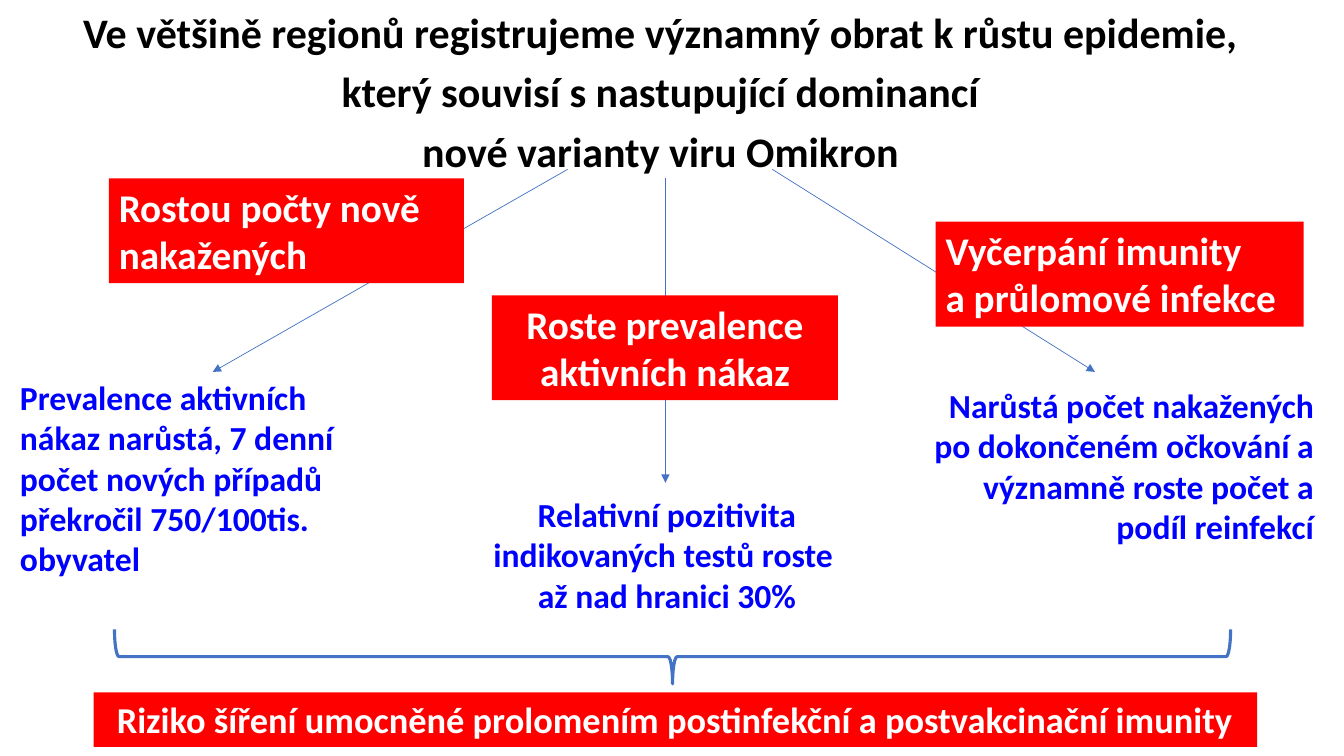
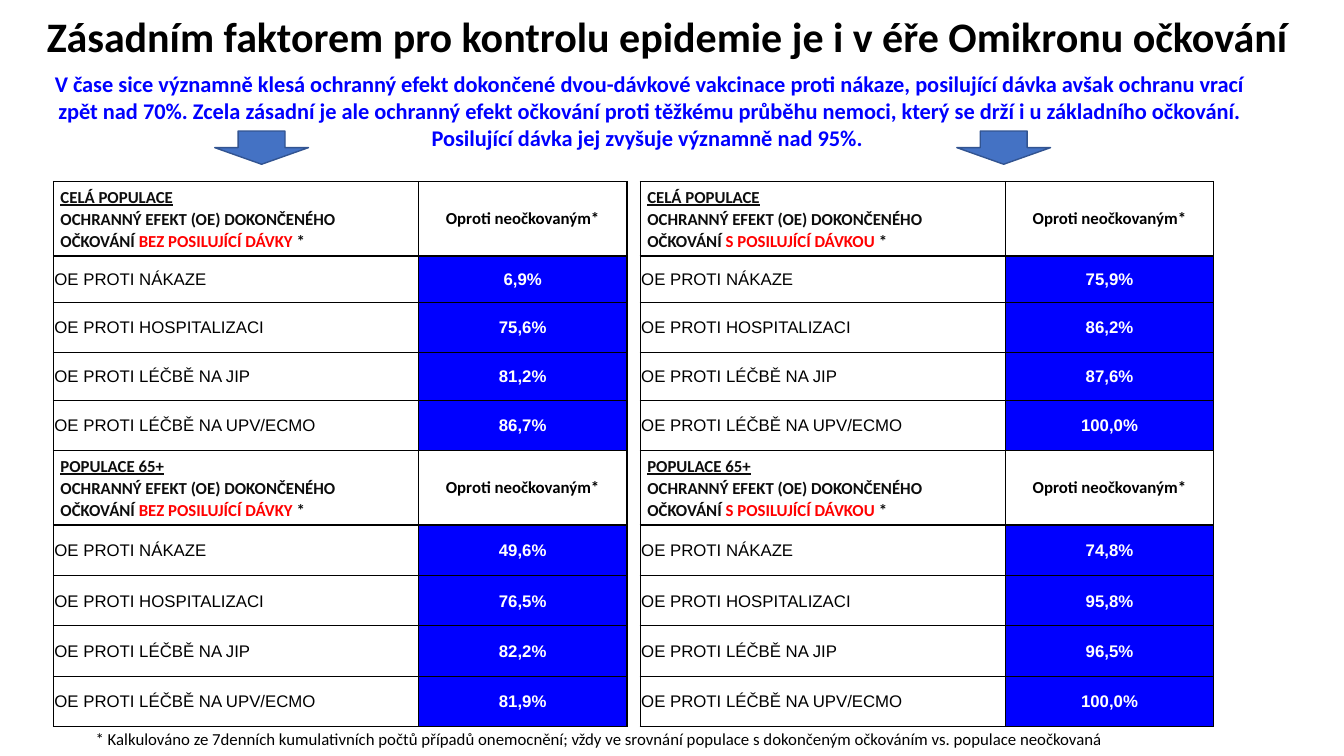
from lxml.etree import SubElement
from pptx import Presentation
from pptx.dml.color import RGBColor
from pptx.enum.shapes import MSO_CONNECTOR, MSO_SHAPE
from pptx.enum.text import MSO_ANCHOR, MSO_AUTO_SIZE, PP_ALIGN
from pptx.oxml.ns import qn
from pptx.util import Inches, Pt

BLACK = "000000"
DARK = "0D0D0D"
WHITE = "FFFFFF"
RED = "FF0000"
BLUE = "0000FF"
ACCENT = "4472C4"
ACCENT_DARK = "325491"
LEFT, CENTER, RIGHT = PP_ALIGN.LEFT, PP_ALIGN.CENTER, PP_ALIGN.RIGHT


def color(value):
    return RGBColor.from_string(value)


def write_text(text_frame, paragraphs, size, text_color, alignment=LEFT, bold=True,
               font="Calibri", line_spacing=None, space_before=0):
    text_frame.word_wrap = True
    for index, runs in enumerate(paragraphs):
        paragraph = text_frame.paragraphs[0] if index == 0 else text_frame.add_paragraph()
        paragraph.alignment = alignment
        if line_spacing:
            paragraph.line_spacing = line_spacing
        paragraph.space_before = Pt(space_before if index else 0)
        for text, run_color, underline in runs:
            run = paragraph.add_run()
            run.text = text
            run.font.name = font
            run.font.size = Pt(size)
            run.font.bold = bold
            run.font.underline = underline
            run.font.color.rgb = color(run_color or text_color)


presentation = Presentation()
presentation.slide_width = Inches(13.33)
presentation.slide_height = Inches(7.5)
title_only = presentation.slide_layouts[5]

titles = [
    (["Ve většině regionů registrujeme významný obrat k růstu epidemie, ",
      "který souvisí s nastupující dominancí ",
      "nové varianty viru Omikron "], (0, 0.07, 13.2, 1.7), 0.9, 10),
    (["Zásadním faktorem pro kontrolu epidemie je i v éře Omikronu očkování "],
     (0.17, 0.05, 13, 0.61), 1, 0),
]
slides = []
for lines, (left, top, width, height), line_spacing, space_before in titles:
    slide = presentation.slides.add_slide(title_only)
    title = slide.shapes.title
    title.left, title.top = Inches(left), Inches(top)
    title.width, title.height = Inches(width), Inches(height)
    title.text_frame.auto_size = MSO_AUTO_SIZE.NONE
    title.text_frame.vertical_anchor = MSO_ANCHOR.TOP
    write_text(title.text_frame, [[(line, None, False)] for line in lines], 30, BLACK, CENTER,
               line_spacing=line_spacing, space_before=space_before)
    slides.append(slide)
growth_slide, vaccination_slide = slides

arrows = [(5.63, 1.68, 2.11, 3.69), (6.6, 1.77, 6.6, 4.79), (7.66, 1.68, 10.86, 3.69)]
for start_x, start_y, end_x, end_y in arrows:
    arrow = growth_slide.shapes.add_connector(
        MSO_CONNECTOR.STRAIGHT, Inches(start_x), Inches(start_y), Inches(end_x), Inches(end_y))
    if start_x == end_x:
        arrow.begin_connect(growth_slide.shapes.title, 2)
    arrow.line.color.rgb = color(ACCENT)
    arrow.line.width = Pt(0.5)
    SubElement(arrow.line._get_or_add_ln(), qn("a:tailEnd"), type="triangle")
    SubElement(arrow._element.spPr, qn("a:effectLst"))

notes = [
    (growth_slide, (0.1, 3.69, 3.4, 2.12), LEFT, 24, BLUE, True,
     ["Prevalence aktivních nákaz narůstá, 7 denní počet nových případů překročil "
      "750/100tis. obyvatel"]),
    (growth_slide, (4.41, 4.85, 4.41, 1.31), CENTER, 24, BLUE, True,
     ["Relativní pozitivita indikovaných testů roste ", "až nad hranici 30%"]),
    (growth_slide, (9.09, 3.77, 4.04, 1.72), RIGHT, 24, BLUE, True,
     ["Narůstá počet nakažených po dokončeném očkování a významně roste počet a "
      "podíl reinfekcí"]),
    (vaccination_slide, (0.85, 7.18, 10.48, 0.3), LEFT, 12, BLACK, False,
     ["* Kalkulováno ze 7denních kumulativních počtů případů onemocnění; vždy ve srovnání "
      "populace s dokončeným očkováním vs. populace neočkovaná"]),
    (vaccination_slide, (0.28, 0.65, 12.33, 0.91), CENTER, 16, BLUE, True,
     ["V čase sice významně klesá ochranný efekt dokončené dvou-dávkové vakcinace proti "
      "nákaze, posilující dávka avšak ochranu vrací zpět nad 70%. Zcela zásadní je ale "
      "ochranný efekt očkování proti těžkému průběhu nemoci, který se drží i u základního "
      "očkování. Posilující dávka jej zvyšuje významně nad 95%. "]),
]
for slide, box, alignment, size, text_color, bold, lines in notes:
    note = slide.shapes.add_textbox(*map(Inches, box))
    write_text(note.text_frame, [[(line, None, False)] for line in lines],
               size, text_color, alignment, bold)

brace = growth_slide.shapes.add_shape(
    MSO_SHAPE.RIGHT_BRACE, Inches(6.4), Inches(0.98), Inches(0.54), Inches(11.07))
brace.rotation = 90
brace.shadow.inherit = False
brace.fill.background()
brace.line.color.rgb = color(ACCENT)
brace.line.width = Pt(2.25)

banners = [
    ((0.93, 6.87, 11.54, 0.54), CENTER, 26,
     ["Riziko šíření umocněné prolomením postinfekční a postvakcinační imunity"]),
    ((1.08, 1.77, 3.52, 1.04), LEFT, 28, ["Rostou počty nově nakažených"]),
    ((4.88, 2.93, 3.43, 1.04), CENTER, 28, ["Roste prevalence aktivních nákaz"]),
    ((9.28, 2.2, 3.65, 1.04), LEFT, 28, ["Vyčerpání imunity", "a průlomové infekce"]),
]
for box, alignment, size, lines in banners:
    banner = growth_slide.shapes.add_shape(MSO_SHAPE.RECTANGLE, *map(Inches, box))
    banner.shadow.inherit = False
    banner.fill.solid()
    banner.fill.fore_color.rgb = color(RED)
    banner.line.fill.background()
    banner.text_frame.vertical_anchor = MSO_ANCHOR.TOP
    write_text(banner.text_frame, [[(line, None, False)] for line in lines],
               size, WHITE, alignment)

for left in (2.13, 9.49):
    down_arrow = vaccination_slide.shapes.add_shape(
        MSO_SHAPE.DOWN_ARROW, Inches(left), Inches(1.3), Inches(0.93), Inches(0.33))
    down_arrow.shadow.inherit = False
    down_arrow.fill.solid()
    down_arrow.fill.fore_color.rgb = color(ACCENT)
    down_arrow.line.color.rgb = color(ACCENT_DARK)
    down_arrow.line.width = Pt(1)

column_widths = [3.62, 2.07]
row_heights = [0.74, 0.46, 0.5, 0.47, 0.5, 0.74, 0.5, 0.5, 0.5, 0.5]
populations = ["CELÁ POPULACE", "POPULACE 65+"]
outcomes = ["NÁKAZE", "HOSPITALIZACI", "LÉČBĚ NA JIP", "LÉČBĚ NA UPV/ECMO"]
effect_tables = [
    (0.53, "BEZ POSILUJÍCÍ DÁVKY ",
     [["6,9%", "75,6%", "81,2%", "86,7%"], ["49,6%", "76,5%", "82,2%", "81,9%"]]),
    (6.35, "S POSILUJÍCÍ DÁVKOU ",
     [["75,9%", "86,2%", "87,6%", "100,0%"], ["74,8%", "95,8%", "96,5%", "100,0%"]]),
]
for left, dose, effects in effect_tables:
    table = vaccination_slide.shapes.add_table(
        len(row_heights), len(column_widths), Inches(left), Inches(1.8),
        Inches(sum(column_widths)), Inches(sum(row_heights))).table
    table.first_row = False
    table.horz_banding = False
    for column, width in zip(table.columns, column_widths):
        column.width = Inches(width)
    for row, height in zip(table.rows, row_heights):
        row.height = Inches(height)

    for cell in table.iter_cells():
        properties = cell._tc.get_or_add_tcPr()
        for side in ("a:lnL", "a:lnR", "a:lnT", "a:lnB"):
            border = SubElement(properties, qn(side), w=str(Pt(1)))
            border_fill = SubElement(border, qn("a:solidFill"))
            SubElement(border_fill, qn("a:srgbClr"), val=BLACK)
        cell.fill.solid()
        cell.fill.fore_color.rgb = color(WHITE)
        cell.vertical_anchor = MSO_ANCHOR.MIDDLE
        cell.margin_left = cell.margin_right = cell.margin_top = Inches(0.01)
        cell.margin_bottom = 0

    for group, (population, values) in enumerate(zip(populations, effects)):
        header_row = group * (len(outcomes) + 1)
        header = table.cell(header_row, 0)
        header.margin_left = header.margin_right = Inches(0.07)
        header.margin_top = 0
        write_text(header.text_frame, [
            [(population, None, True)],
            [("OCHRANNÝ EFEKT (OE) DOKONČENÉHO OČKOVÁNÍ ", None, False),
             (dose, RED, False), ("*", None, False)],
        ], 12, DARK, line_spacing=1.07)
        write_text(table.cell(header_row, 1).text_frame,
                   [[("Oproti neočkovaným*", None, False)]], 12, BLACK, CENTER)
        for offset, (outcome, value) in enumerate(zip(outcomes, values), 1):
            label_cell = table.cell(header_row + offset, 0)
            value_cell = table.cell(header_row + offset, 1)
            write_text(label_cell.text_frame, [[("OE PROTI " + outcome, None, False)]],
                       12, BLACK, bold=False, font="Arial")
            write_text(value_cell.text_frame, [[(value, None, False)]],
                       12, WHITE, CENTER, font="Arial")
            value_cell.fill.fore_color.rgb = color(BLUE)

presentation.save("out.pptx")
